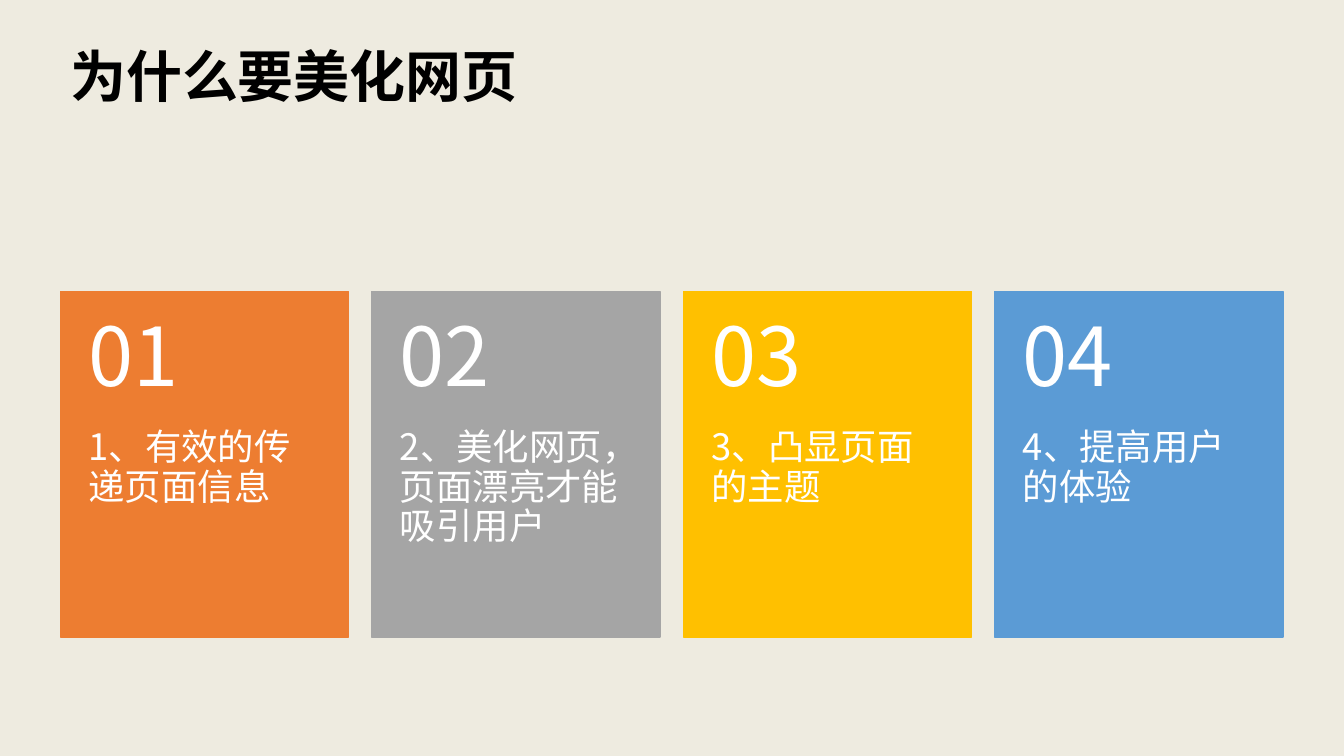
"""Build a slide with four numbered reasons for making web pages attractive."""
from dataclasses import dataclass

from lxml.etree import SubElement
from pptx import Presentation
from pptx.dml.color import RGBColor
from pptx.enum.shapes import MSO_SHAPE as Preset
from pptx.enum.text import MSO_ANCHOR as Anchor, PP_ALIGN as Align
from pptx.oxml.ns import qn
from pptx.shapes.autoshape import Shape
from pptx.slide import Slide
from pptx.util import Cm, Length, Pt

FONT = "Noto Sans CJK SC"
LINE_SPACING = 0.9
BLACK = RGBColor(0x00, 0x00, 0x00)
WHITE = RGBColor(0xFF, 0xFF, 0xFF)
PAPER = RGBColor(0xF2, 0xF2, 0xF2)
TINT = RGBColor(0xBF, 0x90, 0x00)
ORANGE = RGBColor(0xED, 0x7D, 0x31)
GREY = RGBColor(0xA5, 0xA5, 0xA5)
GOLD = RGBColor(0xFF, 0xC0, 0x00)
BLUE = RGBColor(0x5B, 0x9B, 0xD5)

SLIDE_WIDTH, SLIDE_HEIGHT = Cm(33.87), Cm(19.05)
MARGIN = Cm(1.52)
CARD_TOP, CARD_WIDTH, CARD_HEIGHT = Cm(7.34), Cm(7.26), Cm(8.71)
CARD_STEP = Cm(7.85)
NUMBER_HEIGHT = Cm(3.48)


@dataclass(frozen=True)
class Reason:
    text: str
    color: RGBColor


@dataclass(frozen=True)
class TextStyle:
    size: int
    color: RGBColor
    side: Length
    top: Length
    bottom: Length
    anchor: Anchor = Anchor.TOP
    bold: bool = False


TITLE = TextStyle(40, BLACK, Cm(0.25), Cm(0.23), Cm(0), bold=True)
NUMBER = TextStyle(58, WHITE, Cm(0.71), Cm(0.46), Cm(0.46), Anchor.MIDDLE)
BODY = TextStyle(26, WHITE, Cm(0.71), Cm(0), Cm(0.91))

REASONS = (
    Reason("1、有效的传递页面信息", ORANGE),
    Reason("2、美化网页，页面漂亮才能吸引用户", GREY),
    Reason("3、凸显页面的主题", GOLD),
    Reason("4、提高用户的体验", BLUE),
)


def add_panel(page: Slide, left: Length, top: Length, width: Length,
              height: Length, color: RGBColor) -> Shape:
    """Add a plain filled rectangle."""
    panel = page.shapes.add_shape(Preset.RECTANGLE, left, top, width, height)
    panel.shadow.inherit = False
    panel.fill.solid()
    panel.fill.fore_color.rgb = color
    panel.line.fill.background()
    return panel


def add_text(page: Slide, left: Length, top: Length, width: Length,
             height: Length, text: str, style: TextStyle) -> None:
    """Add a wrapped text box in the given style."""
    frame = page.shapes.add_textbox(left, top, width, height).text_frame
    frame.word_wrap = True
    frame.vertical_anchor = style.anchor
    frame.margin_left = frame.margin_right = style.side
    frame.margin_top, frame.margin_bottom = style.top, style.bottom
    para = frame.paragraphs[0]
    para.alignment = Align.LEFT
    para.line_spacing = LINE_SPACING
    span = para.add_run()
    span.text = text
    span.font.size = Pt(style.size)
    span.font.bold = style.bold
    span.font.color.rgb = style.color
    span.font.name = FONT
    SubElement(span.font._element, qn("a:ea"), typeface=FONT)


def add_background(page: Slide) -> None:
    """Cover the page with paper and a faint warm tint."""
    add_panel(page, Cm(0), Cm(0), SLIDE_WIDTH, SLIDE_HEIGHT, PAPER)
    tint = add_panel(page, Cm(0), Cm(0), SLIDE_WIDTH, SLIDE_HEIGHT, TINT)
    color = tint._element.spPr.find(qn("a:solidFill")).find(qn("a:srgbClr"))
    SubElement(color, qn("a:alpha"), val="7000")


def add_card(page: Slide, index: int, reason: Reason) -> None:
    """Add one coloured card with its number and reason."""
    left = MARGIN + index * CARD_STEP
    card = add_panel(page, left, CARD_TOP, CARD_WIDTH, CARD_HEIGHT, reason.color)
    card.line.color.rgb = reason.color
    card.line.width = Pt(1)
    add_text(page, left, CARD_TOP + NUMBER_HEIGHT, CARD_WIDTH,
             CARD_HEIGHT - NUMBER_HEIGHT, reason.text, BODY)
    add_text(page, left, CARD_TOP, CARD_WIDTH, NUMBER_HEIGHT,
             f"{index + 1:02}", NUMBER)


def main() -> None:
    """Build and save the deck."""
    deck = Presentation()
    deck.slide_width, deck.slide_height = SLIDE_WIDTH, SLIDE_HEIGHT
    page = deck.slides.add_slide(deck.slide_layouts[6])
    add_background(page)
    add_text(page, MARGIN, Cm(1.02), Cm(30.81), Cm(3.68), "为什么要美化网页", TITLE)
    for index, reason in enumerate(REASONS):
        add_card(page, index, reason)
    deck.save("out.pptx")


if __name__ == "__main__":
    main()
